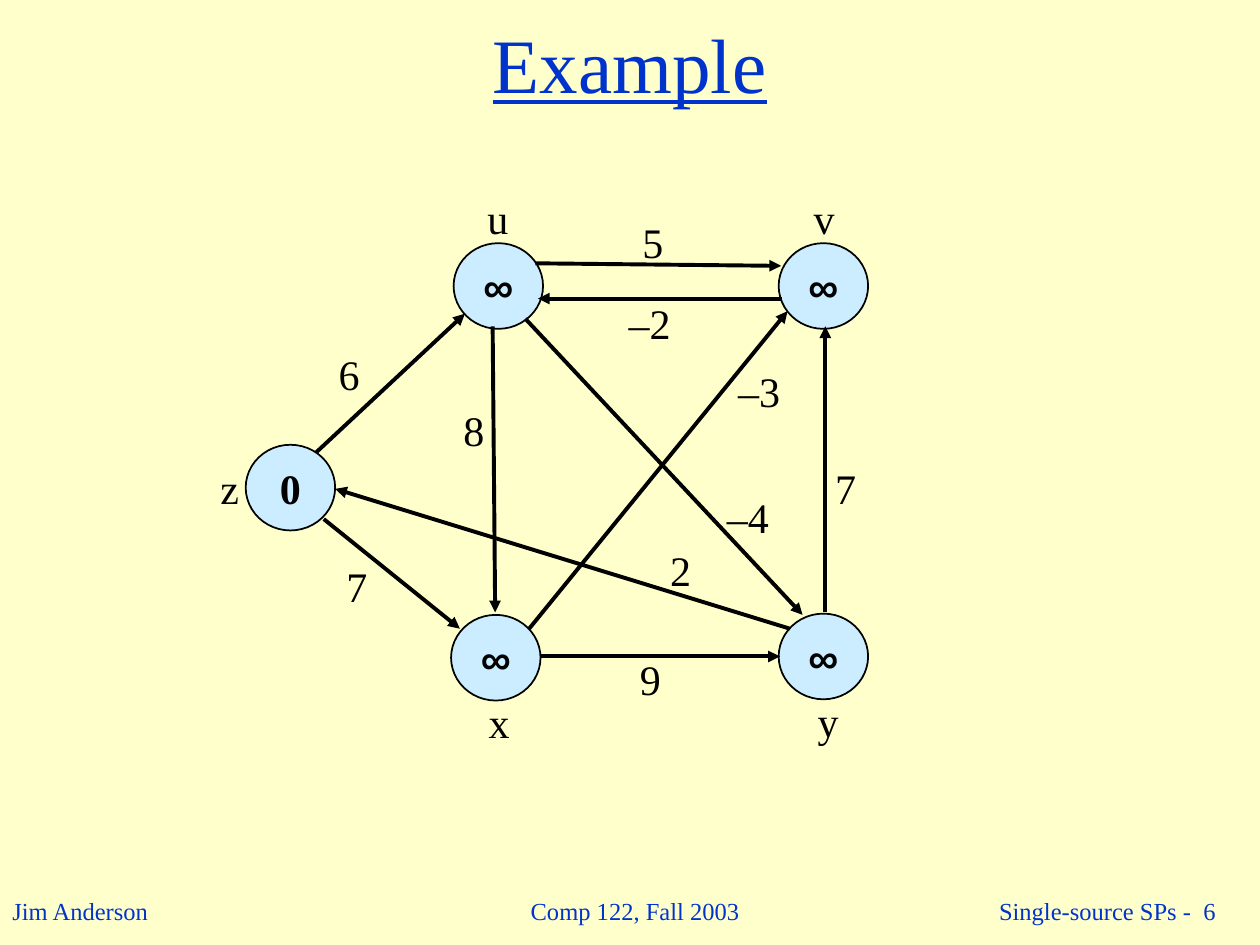
from dataclasses import dataclass

from lxml import etree
from pptx import Presentation
from pptx.dml.color import RGBColor
from pptx.enum import shapes, text
from pptx.oxml import ns
from pptx.util import Inches, Pt


@dataclass(frozen=True)
class Theme:
    background: str = "FFFFCC"
    accent: str = "0033CC"
    ink: str = "000000"
    node: str = "CCECFF"
    serif: str = "Times New Roman"
    sans: str = "Arial"
    title_size: int = 44
    graph_size: int = 24
    footer_size: int = 14
    outline: float = 1
    edge: float = 2.25


THEME = Theme()
LEFT, CENTER, RIGHT = text.PP_ALIGN.LEFT, text.PP_ALIGN.CENTER, text.PP_ALIGN.RIGHT
TOP, MIDDLE = text.MSO_ANCHOR.TOP, text.MSO_ANCHOR.MIDDLE

NODE_SIZE = (0.71, 0.68)
# name: (value, font, node position, label position), in inches within the graph
NODES = {
    "z": ("0", THEME.serif, (0.30, 2.05), (0, 2.14)),
    "u": ("∞", THEME.sans, (1.95, 0.45), (2.12, 0)),
    "v": ("∞", THEME.sans, (4.53, 0.45), (4.71, 0)),
    "x": ("∞", THEME.sans, (1.93, 3.40), (2.13, 4.00)),
    "y": ("∞", THEME.sans, (4.53, 3.39), (4.74, 3.99)),
}
# (weight, start, end, weight position)
EDGES = [
    ("6", (0.86, 2.11), (2.04, 1.01), (0.94, 1.24)),
    ("7", (0.92, 2.64), (2.00, 3.51), (1.00, 2.92)),
    ("8", (2.26, 1.11), (2.28, 3.38), (1.93, 1.68)),
    ("7", (4.90, 3.38), (4.90, 1.11), (4.88, 2.14)),
    ("9", (2.64, 3.73), (4.54, 3.73), (3.33, 3.66)),
    ("5", (2.60, 0.61), (4.55, 0.63), (3.35, 0.19)),
    ("–3", (2.55, 3.51), (4.60, 0.99), (4.11, 1.37)),
    ("2", (4.62, 3.51), (1.01, 2.40), (3.57, 2.79)),
    ("–2", (4.56, 0.89), (2.62, 0.89), (3.24, 0.83)),
    ("–4", (2.52, 1.05), (4.72, 3.40), (4.02, 2.37)),
]


def write_text(shape, words, *, size, color=THEME.ink, font=THEME.serif, align=LEFT,
               anchor=TOP, bold=False, underline=False, wrap=False):
    frame = shape.text_frame
    frame.word_wrap = wrap
    frame.vertical_anchor = anchor
    paragraph = frame.paragraphs[0]
    paragraph.alignment = align
    run = paragraph.add_run()
    run.text = words
    run.font.name = font
    run.font.size = Pt(size)
    run.font.bold = bold
    run.font.underline = underline
    run.font.color.rgb = RGBColor.from_string(color)


def add_text(slide, box, words, **style):
    write_text(slide.shapes.add_textbox(*map(Inches, box)), words, **style)


def add_node(slide, box, value, font):
    ellipse = slide.shapes.add_shape(shapes.MSO_SHAPE.OVAL, *map(Inches, box))
    ellipse.shadow.inherit = False
    ellipse.fill.solid()
    ellipse.fill.fore_color.rgb = RGBColor.from_string(THEME.node)
    ellipse.line.color.rgb = RGBColor.from_string(THEME.ink)
    ellipse.line.width = Pt(THEME.outline)
    write_text(ellipse, value, size=THEME.graph_size, font=font, align=CENTER,
               anchor=MIDDLE, bold=True)


def add_arrow(slide, start, end):
    arrow = slide.shapes.add_connector(shapes.MSO_CONNECTOR.STRAIGHT,
                                       *map(Inches, (*start, *end)))
    arrow.line.color.rgb = RGBColor.from_string(THEME.ink)
    arrow.line.width = Pt(THEME.edge)
    etree.SubElement(arrow.line._get_or_add_ln(), ns.qn("a:tailEnd"), type="triangle")
    etree.SubElement(arrow._element.spPr, ns.qn("a:effectLst"))


def add_graph(slide, left, top):
    """Draw nodes, then arrows, then labels, so that arrows lie over nodes."""
    def place(point):
        return left + point[0], top + point[1]

    for value, font, corner, _ in NODES.values():
        add_node(slide, (*place(corner), *NODE_SIZE), value, font)
    for _, start, end, _ in EDGES:
        add_arrow(slide, place(start), place(end))
    labels = [(name, node[-1]) for name, node in NODES.items()]
    labels += [(weight, corner) for weight, _, _, corner in EDGES]
    for words, corner in labels:
        width = 0.36 if len(words) == 1 else 0.53
        add_text(slide, (*place(corner), width, 0.5), words, size=THEME.graph_size)


def add_title(slide, box):
    add_text(slide, box, "Example", size=THEME.title_size, color=THEME.accent,
             align=CENTER, anchor=MIDDLE, underline=True, wrap=True)


def add_footer(slide, left, top, width):
    style = dict(size=THEME.footer_size, color=THEME.accent)
    add_text(slide, (left, top + 0.08, 1.29, 0.34), "Jim Anderson", **style)
    add_text(slide, (left + 4, top, 2.08, 0.5), "Comp 122, Fall 2003",
             align=CENTER, anchor=MIDDLE, **style)
    add_text(slide, (left + width - 2.25, top, 2, 0.5), "Single-source SPs -  6",
             align=RIGHT, anchor=MIDDLE, **style)


def main():
    presentation = Presentation()
    presentation.slide_width, presentation.slide_height = Inches(10), Inches(7.5)
    slide = presentation.slides.add_slide(presentation.slide_layouts[6])
    slide.background.fill.solid()
    slide.background.fill.fore_color.rgb = RGBColor.from_string(THEME.background)
    add_footer(slide, 0, 6.98, 10)
    add_title(slide, (0, 0, 10, 1))
    add_graph(slide, 1.65, 1.48)
    presentation.save("out.pptx")


if __name__ == "__main__":
    main()
